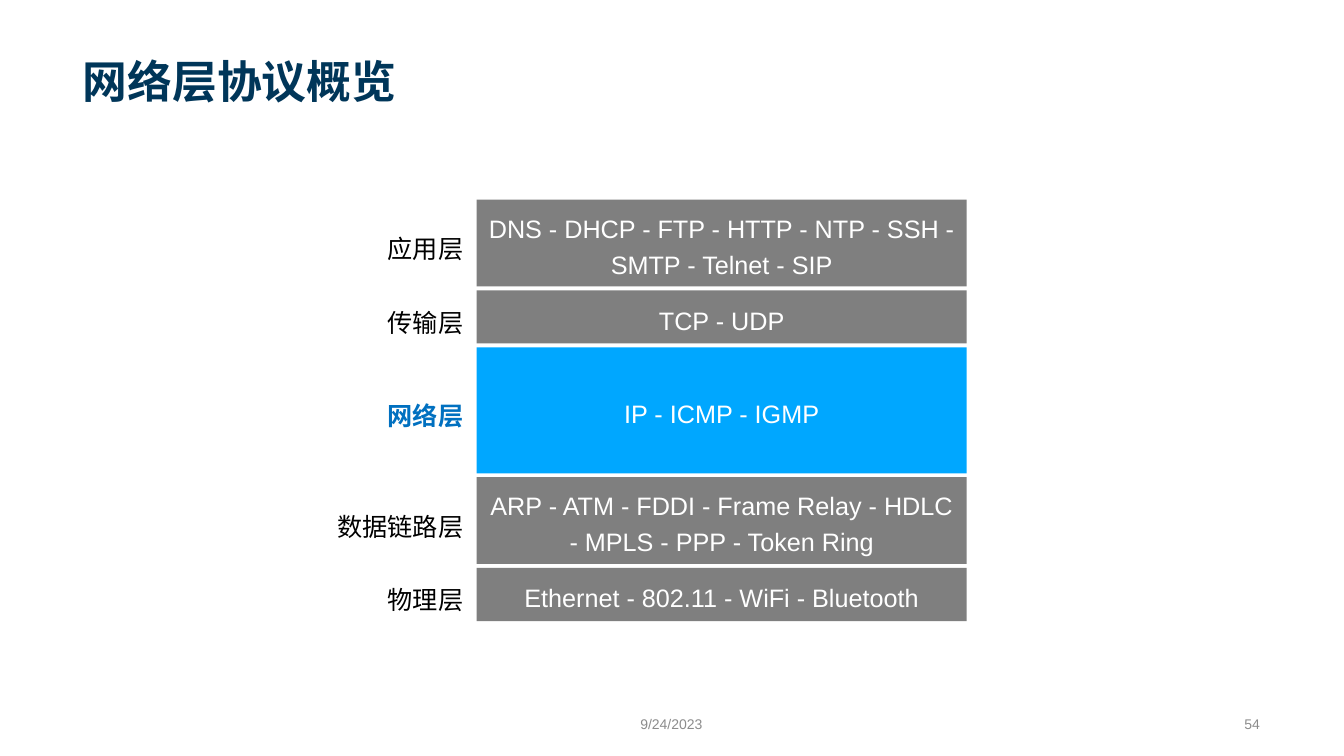
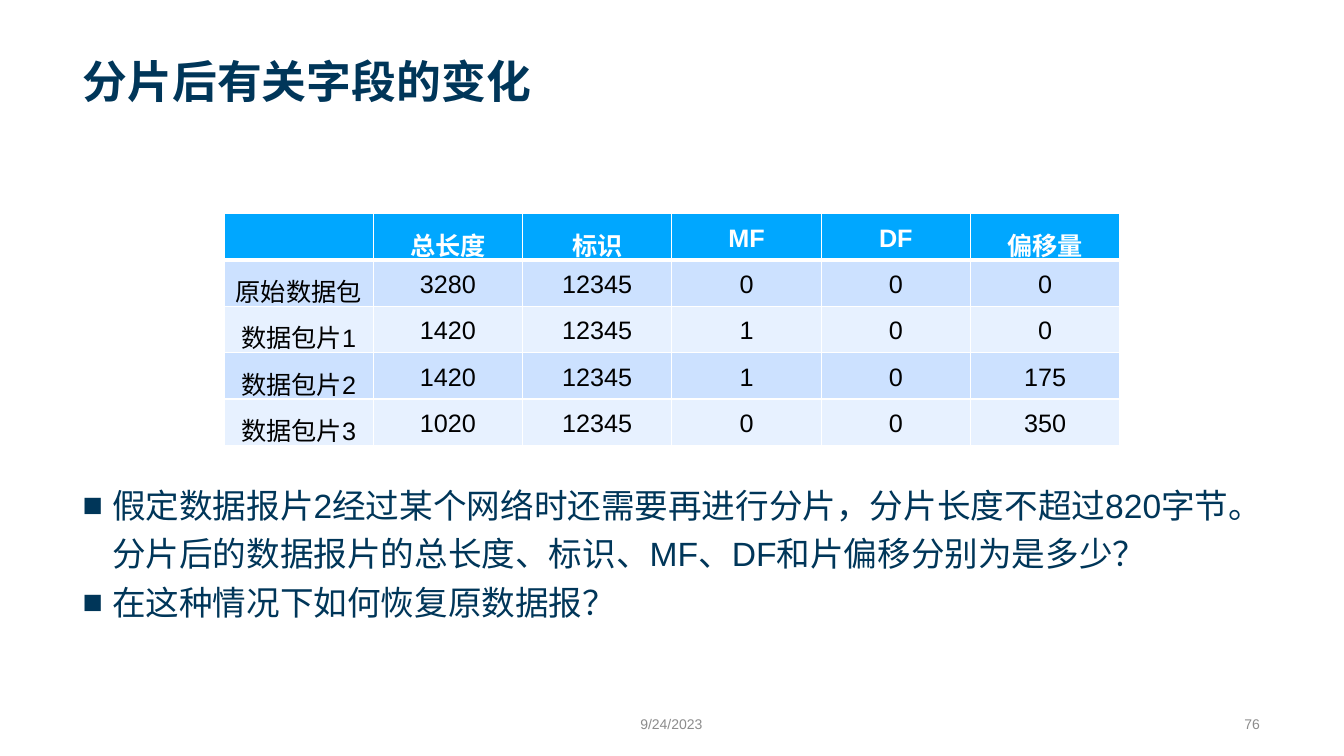
from pptx import Presentation
from pptx.dml.color import RGBColor
from pptx.enum.lang import MSO_LANGUAGE_ID
from pptx.enum.shapes import MSO_SHAPE
from pptx.enum.text import MSO_ANCHOR, PP_ALIGN
from pptx.oxml.ns import qn
from pptx.util import Pt
from lxml.etree import SubElement

COLORS = {
    "navy": "003659",
    "gray": "7F7F7F",
    "footer": "8C8C8C",
    "accent": "00A7FF",
    "highlight": "0070C0",
    "white": "FFFFFF",
    "black": "000000",
    "band_dark": "CCE1FF",
    "band_light": "E7F1FF",
}


class Deck:
    font_name = "Arial"
    line_spacing = 1.2
    left, width = 52, 855

    def __init__(self):
        self.presentation = Presentation()
        self.presentation.slide_width = Pt(960)
        self.presentation.slide_height = Pt(540)
        self.slide = None

    def color(self, name):
        return RGBColor.from_string(COLORS[name])

    def style(self, paragraph, size, color, bold=False, align=PP_ALIGN.LEFT):
        paragraph.alignment = align
        paragraph.line_spacing = self.line_spacing
        font = paragraph.font
        font.name = self.font_name
        font.size = Pt(size)
        font.bold = bold
        font.color.rgb = self.color(color)
        font.language_id = MSO_LANGUAGE_ID.SIMPLIFIED_CHINESE

    def text(self, words, box, size, color, bold=False,
             align=PP_ALIGN.LEFT, anchor=MSO_ANCHOR.TOP):
        frame = self.slide.shapes.add_textbox(*map(Pt, box)).text_frame
        frame.word_wrap = True
        frame.vertical_anchor = anchor
        frame.text = words
        self.style(frame.paragraphs[0], size, color, bold, align)

    def new_slide(self, title, number):
        self.slide = self.presentation.slides.add_slide(
            self.presentation.slide_layouts[6])
        self.text(title, (self.left, 10, self.width, 70.5), 32, "navy",
                  bold=True, anchor=MSO_ANCHOR.BOTTOM)
        self.text("9/24/2023", (371.5, 505, 216, 21.6), 10, "footer",
                  align=PP_ALIGN.CENTER, anchor=MSO_ANCHOR.MIDDLE)
        self.text(str(number), (612, 505, 295, 21.6), 10, "footer",
                  align=PP_ALIGN.RIGHT, anchor=MSO_ANCHOR.MIDDLE)

    def block(self, words, box, fill):
        block = self.slide.shapes.add_shape(MSO_SHAPE.RECTANGLE, *map(Pt, box))
        block.shadow.inherit = False
        block.fill.solid()
        block.fill.fore_color.rgb = self.color(fill)
        block.line.fill.background()
        frame = block.text_frame
        frame.word_wrap = True
        frame.vertical_anchor = MSO_ANCHOR.MIDDLE
        frame.text = words
        self.style(frame.paragraphs[0], 18, "white", align=PP_ALIGN.CENTER)

    def bullets(self, items, box):
        frame = self.slide.shapes.add_textbox(*map(Pt, box)).text_frame
        frame.word_wrap = True
        frame.text = "\n".join(items)
        for paragraph in frame.paragraphs:
            properties = paragraph._p.get_or_add_pPr()
            properties.set("marL", str(Pt(21)))
            properties.set("indent", str(-Pt(21)))
            SubElement(properties, qn("a:buFont"), typeface=self.font_name)
            SubElement(properties, qn("a:buChar"), char="■")
            self.style(paragraph, 24, "navy")

    def borders(self, cell, top, bottom):
        properties = cell._tc.get_or_add_tcPr()
        for side, weight in (("L", 1), ("R", 1), ("T", top), ("B", bottom)):
            line = SubElement(properties, qn(f"a:ln{side}"), w=str(Pt(weight)))
            fill = SubElement(line, qn("a:solidFill"))
            SubElement(fill, qn("a:srgbClr"), val=COLORS["white"])

    def table(self, rows, box):
        grid = self.slide.shapes.add_table(
            len(rows), len(rows[0]), *map(Pt, box)).table
        for r, values in enumerate(rows):
            header = r == 0
            band = "accent" if header else ("band_light", "band_dark")[r % 2]
            for c, value in enumerate(values):
                cell = grid.cell(r, c)
                self.borders(cell, top=3 if r == 1 else 1,
                             bottom=3 if header else 1)
                cell.fill.solid()
                cell.fill.fore_color.rgb = self.color(band)
                cell.text = value
                self.style(cell.text_frame.paragraphs[0], 18,
                           "white" if header else "black",
                           bold=header, align=PP_ALIGN.CENTER)


def protocol_overview(deck):
    deck.new_slide("网络层协议概览", 54)
    layers = [
        ("应用层", "DNS - DHCP - FTP - HTTP - NTP - SSH - SMTP - Telnet - SIP", 62),
        ("传输层", "TCP - UDP", 38),
        ("网络层", "IP - ICMP - IGMP", 90),
        ("数据链路层", "ARP - ATM - FDDI - Frame Relay - HDLC - MPLS - PPP - Token Ring", 62),
        ("物理层", "Ethernet - 802.11 - WiFi - Bluetooth", 38),
    ]
    top, gap, label_height = 142.6, 2.75, 31
    for layer, protocols, height in layers:
        current = layer == "网络层"
        deck.block(protocols, (340.5, top, 350, height),
                   "accent" if current else "gray")
        label_top = top + (height - label_height) / 2 + 0.8
        deck.text(layer, (218, label_top, 120, label_height), 18,
                  "highlight" if current else "black",
                  bold=current, align=PP_ALIGN.RIGHT)
        top += height + gap


def fragment_fields(deck):
    deck.new_slide("分片后有关字段的变化", 76)
    deck.bullets([
        "假定数据报片2经过某个网络时还需要再进行分片，分片长度不超过820字节。"
        "分片后的数据报片的总长度、标识、MF、DF和片偏移分别为是多少？",
        "在这种情况下如何恢复原数据报？",
    ], (deck.left, 337, deck.width, 146))
    deck.table([
        ("", "总长度", "标识", "MF", "DF", "偏移量"),
        ("原始数据包", "3280", "12345", "0", "0", "0"),
        ("数据包片1", "1420", "12345", "1", "0", "0"),
        ("数据包片2", "1420", "12345", "1", "0", "175"),
        ("数据包片3", "1020", "12345", "0", "0", "350"),
    ], (160, 152.5, 640, 155))


def main():
    deck = Deck()
    protocol_overview(deck)
    fragment_fields(deck)
    deck.presentation.save("out.pptx")


if __name__ == "__main__":
    main()
